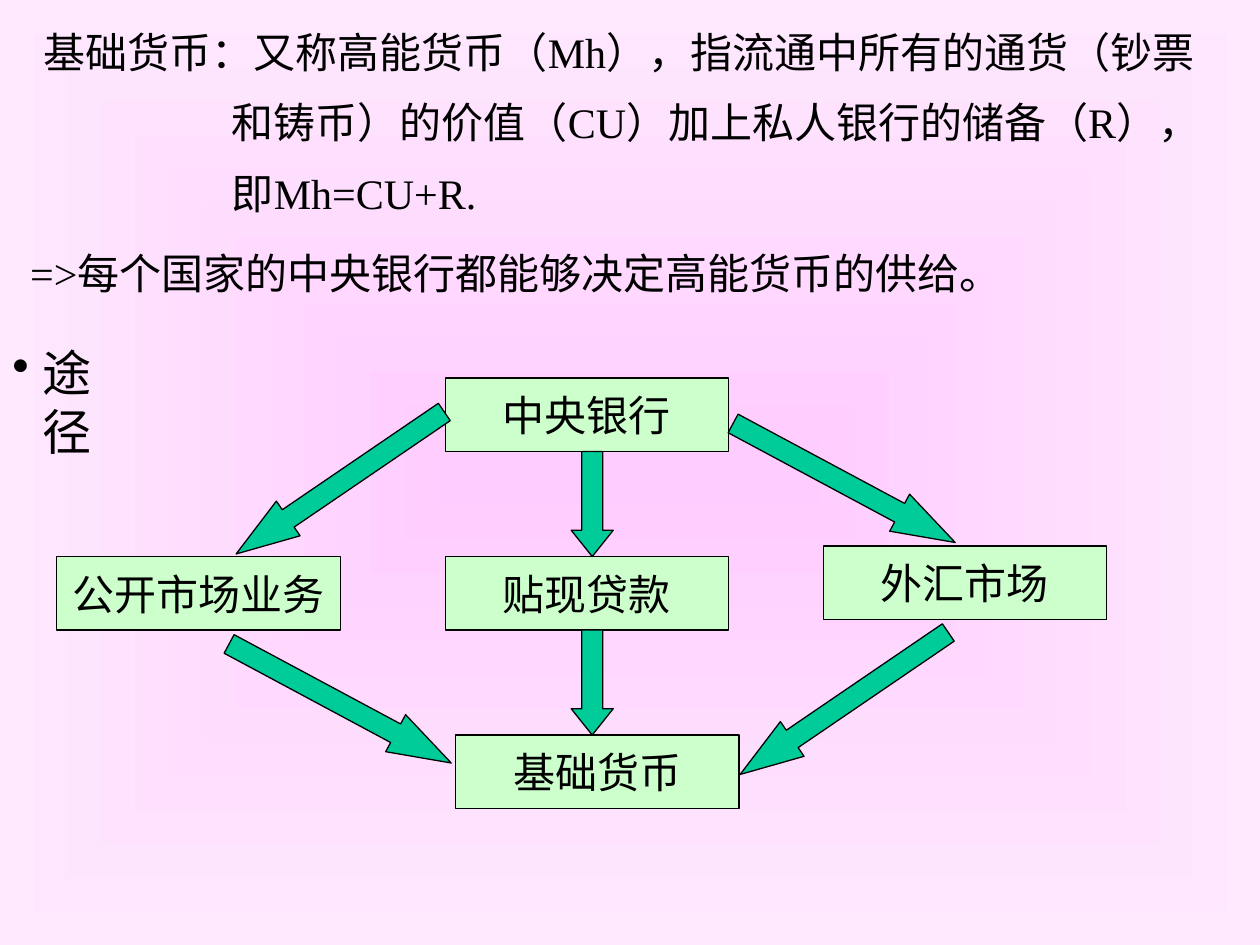
from lxml import etree
from pptx import Presentation
from pptx import util as u
from pptx.dml.color import RGBColor
from pptx.enum import shapes, text
from pptx.oxml import ns

COLOURS = {"ink": "000000", "node": "CCFFCC", "arrow": "00CC99",
           "core": "FFCCFF", "rim": "FEE9FE"}
CELL = u.Inches(1) / 12
COLUMNS, ROWS = 120, 90
FONT = {"name": "Times New Roman", "size": u.Pt(24)}


def colour(name):
    """Return a palette colour."""
    return RGBColor.from_string(COLOURS[name])


def cells(*values):
    """Turn grid cells into lengths."""
    return [u.Emu(round(value * CELL)) for value in values]


def apply(target, values):
    """Set each attribute of a target from a dict."""
    for name, value in values.items():
        setattr(target, name, value)


def paint_background(page):
    """Fill the page with a gradient spreading from its centre."""
    fill = page.background.fill
    fill.gradient()
    for stop, name in zip(fill.gradient_stops, ("core", "rim")):
        stop.color.rgb = colour(name)
    linear = page.background._cSld.find(".//" + ns.qn("a:lin"))
    path = etree.Element(ns.qn("a:path"), path="rect")
    etree.SubElement(path, ns.qn("a:fillToRect"), l="50000", t="50000", r="50000", b="50000")
    linear.getparent().replace(linear, path)


def write(para, words, **font):
    """Put words in a paragraph with the common font."""
    para.text = words
    apply(para.font, {**FONT, **font})
    para.font.color.rgb = colour("ink")


def add_lines(page, box, lines, spacing=1, hanging=0, bullet=None, size=24):
    """Write lines in a text box, the later ones or the bullet text indented."""
    frame = page.shapes.add_textbox(*cells(*box)).text_frame
    frame.word_wrap = True
    indent = cells(hanging)[0]
    for index, words in enumerate(lines):
        para = frame.add_paragraph() if index else frame.paragraphs[0]
        props = para._p.get_or_add_pPr()
        if index or bullet:
            props.set("marL", str(indent))
        if bullet:
            props.set("indent", str(-indent))
            etree.SubElement(props, ns.qn("a:buChar"), char=bullet)
        para.line_spacing = spacing
        write(para, words, size=u.Pt(size))


def add_solid(page, kind, box, fill):
    """Draw a filled shape with a thin outline."""
    shape = page.shapes.add_shape(kind, *cells(*box))
    shape.shadow.inherit = False
    shape.fill.solid()
    shape.fill.fore_color.rgb = colour(fill)
    shape.line.color.rgb = colour("ink")
    shape.line.width = u.Pt(0.75)
    return shape


def add_flow(page, box):
    """Draw the channels from the central bank to the monetary base."""
    left, top, width, height = box
    node_width, node_height, arrow_width = width * 0.27, 7, 4
    nodes = [("中央银行", 37, 0), ("贴现贷款", 37, 17), ("基础货币", 38, height - node_height),
             ("外汇市场", width - node_width, 16), ("公开市场业务", 0, 17)]
    for words, column, row in nodes:
        node = add_solid(page, shapes.MSO_SHAPE.RECTANGLE,
                         (left + column, top + row, node_width, node_height), "node")
        apply(node.text_frame, {"word_wrap": False,
                                "vertical_anchor": text.MSO_ANCHOR.MIDDLE})
        para = node.text_frame.paragraphs[0]
        para.alignment = text.PP_ALIGN.CENTER
        write(para, words)
    arrows = [(49, 7, 10, 0), (49, 24, 10, 0),
              (25, -2, 24, 55.7), (73, 19, 24, 55.7),
              (25, 19, 24, 298.2), (73, -2, 24, 298.2)]
    for column, row, length, turn in arrows:
        arrow = add_solid(page, shapes.MSO_SHAPE.DOWN_ARROW,
                          (left + column, top + row, arrow_width, length), "arrow")
        arrow.rotation = turn
        arrow.adjustments[0] = 0.5
        arrow.adjustments[1] = length / 16


def main():
    """Build and save the slide."""
    deck = Presentation()
    deck.slide_width, deck.slide_height = cells(COLUMNS, ROWS)
    page = deck.slides.add_slide(deck.slide_layouts[6])
    paint_background(page)
    add_lines(page, (3, 0, 116.4, 21.4),
              ["基础货币：又称高能货币（Mh），指流通中所有的通货（钞票",
               "和铸币）的价值（CU）加上私人银行的储备（R），",
               "即Mh=CU+R."], spacing=1.4, hanging=17.9)
    add_lines(page, (1.7, 23, 96, 6), ["=>每个国家的中央银行都能够决定高能货币的供给。"])
    add_lines(page, (0, 32, 13.3, 6.8), ["途径"], hanging=2.9, bullet="•", size=28)
    add_flow(page, (5.4, 36, 100, 41))
    deck.save("out.pptx")


if __name__ == "__main__":
    main()
